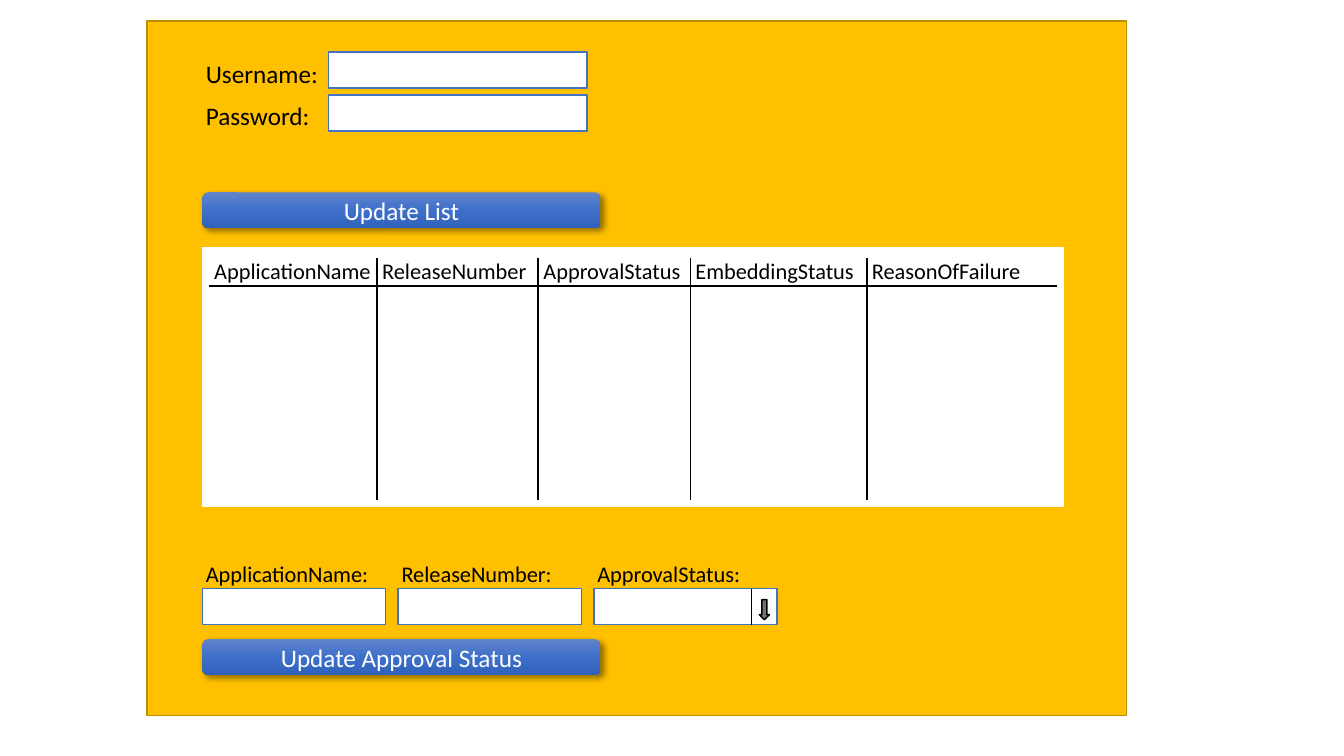
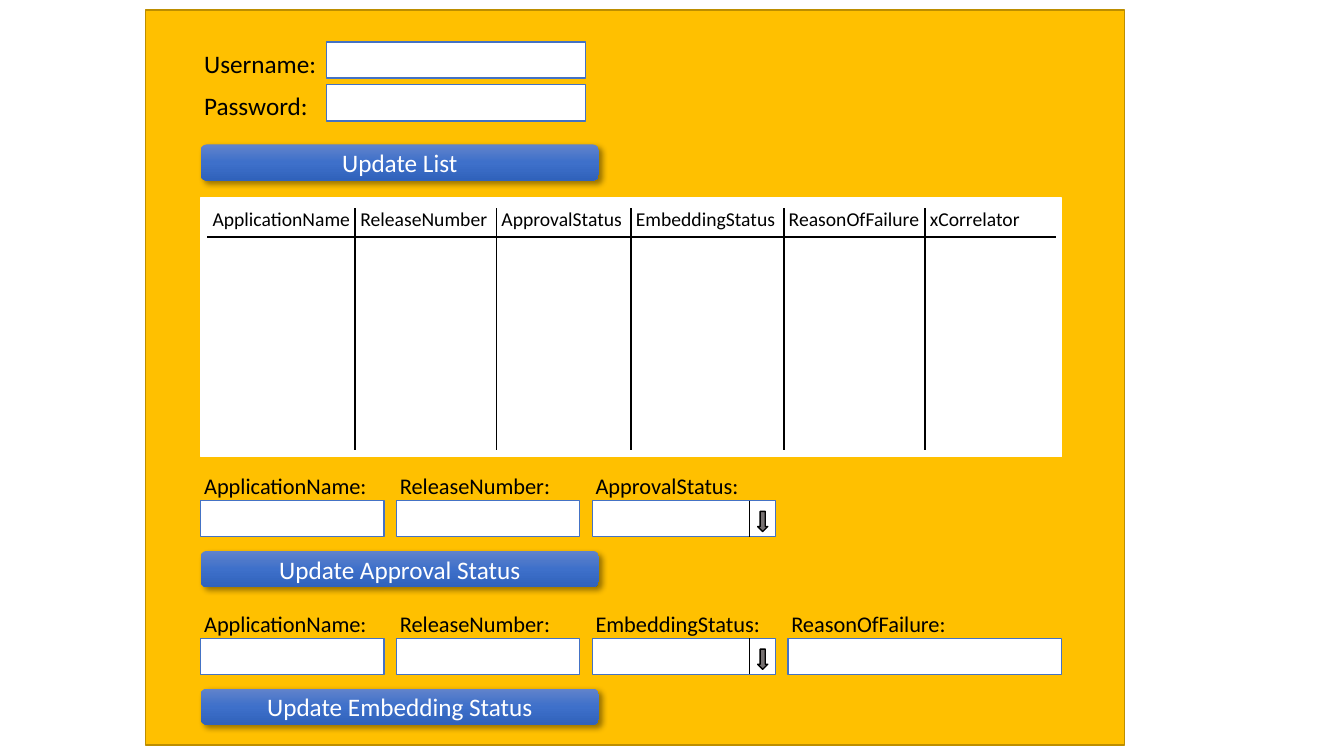
from pptx import Presentation
from pptx.dml.color import RGBColor
from pptx.enum.shapes import MSO_CONNECTOR as Link, MSO_SHAPE as Geo
from pptx.enum.text import MSO_ANCHOR as Anchor, PP_ALIGN as Align
from pptx.oxml import parse_xml
from pptx.oxml.ns import nsdecls, qn
from pptx.util import Inches, Pt
from lxml.etree import SubElement

AMBER = RGBColor(0xFF, 0xC0, 0x00)
AMBER_EDGE = RGBColor(0xBD, 0x8E, 0x00)
BLUE = RGBColor(0x44, 0x72, 0xC4)
GREY = RGBColor(0x76, 0x71, 0x71)
WHITE = RGBColor(0xFF, 0xFF, 0xFF)
BLACK = RGBColor(0x00, 0x00, 0x00)
BUTTON_STOPS = (
    (0, RGBColor(0x61, 0x83, 0xCB)),
    (50, RGBColor(0x3E, 0x70, 0xCA)),
    (100, RGBColor(0x30, 0x62, 0xBB)),
)
FONT = "Calibri"
SLIDE_W, SLIDE_H = Inches(13.33), Inches(7.5)
GRID_COLS = 160
CELL = SLIDE_W / GRID_COLS

PANEL_W = 116.6
INDENT = 6.6
FIELD_W, FIELD_H, FIELD_PITCH = 21.8, 4.3, 23.3
LOGIN_X, LOGIN_W, LOGIN_PITCH = 15, 30.8, 5.1
BUTTON_W, BUTTON_DROP = 47.4, 6
LIST_W, LIST_H = 102.5, 30.8
HEADER_H, BODY_H = 3.4, 25.4


def cells(*counts):
    """Turn numbers of grid cells into lengths."""
    return [round(count * CELL) for count in counts]


def write(frame, text, size, color=BLACK, align=Align.LEFT):
    """Put one run of text into a frame."""
    paragraph = frame.paragraphs[0]
    paragraph.alignment = align
    run = paragraph.add_run()
    run.text = text
    run.font.name, run.font.size = FONT, Pt(size)
    run.font.bold = False
    run.font.color.rgb = color


def block(slide, box, fill, edge=None, geometry=Geo.RECTANGLE):
    """Draw a flat preset shape with an optional outline."""
    shape = slide.shapes.add_shape(geometry, *cells(*box))
    shape.shadow.inherit = False
    shape.fill.solid()
    shape.fill.fore_color.rgb = fill
    if edge is None:
        shape.line.fill.background()
    else:
        shape.line.color.rgb = edge
        shape.line.width = Pt(1)
    return shape


def label(slide, x, y, text, size):
    """Place a caption with no inner margins."""
    frame = slide.shapes.add_textbox(*cells(x, y, FIELD_W, 3.3)).text_frame
    frame.margin_left = frame.margin_right = 0
    frame.margin_top = frame.margin_bottom = 0
    frame.word_wrap = True
    write(frame, text, size)


def field(slide, x, y, width=FIELD_W):
    """Draw an empty input field."""
    block(slide, (x, y, width, FIELD_H), WHITE, BLUE)


def dropdown(slide, x, y):
    """Draw an input field with a divider and a down arrow."""
    field(slide, x, y)
    block(slide, (x + 19.7, y + 1.3, 1.2, 2.4), GREY, BLACK, Geo.DOWN_ARROW)
    divider = slide.shapes.add_connector(
        Link.STRAIGHT, *cells(x + 18.7, y, x + 18.7, y + FIELD_H))
    divider.line.color.rgb = BLACK
    divider.line.width = Pt(0.5)
    SubElement(divider._element.spPr, qn("a:effectLst"))


def button(slide, x, y, text):
    """Draw a shaded button with a soft shadow."""
    shape = block(slide, (x, y, BUTTON_W, FIELD_H), BLUE,
                  geometry=Geo.ROUNDED_RECTANGLE)
    shape.fill.gradient()
    shape.fill.gradient_angle = 270
    properties = shape._element.spPr
    stops = properties.find(".//" + qn("a:gsLst"))
    stops.clear()
    for share, color in BUTTON_STOPS:
        stop = SubElement(stops, qn("a:gs"), pos=str(share * 1000))
        SubElement(stop, qn("a:srgbClr"), val=str(color))
    properties.find(qn("a:effectLst")).append(parse_xml(
        f'<a:outerShdw {nsdecls("a")} blurRad="{Pt(4)}" dist="{Pt(3)}" '
        'dir="2700000" algn="tl" rotWithShape="0"><a:srgbClr val="000000">'
        '<a:alpha val="40000"/></a:srgbClr></a:outerShdw>'))
    frame = shape.text_frame
    frame.vertical_anchor = Anchor.MIDDLE
    frame.margin_top = frame.margin_bottom = 0
    write(frame, text, 18, WHITE, Align.CENTER)


def rule_cell(cell, ruled):
    """Rule the named sides of a table cell and clear the others."""
    properties = cell._tc.get_or_add_tcPr()
    for side in "LRTB":
        edge = SubElement(properties, qn("a:ln" + side), w=str(Pt(1.5)))
        if side in ruled:
            ink = SubElement(edge, qn("a:solidFill"))
            SubElement(ink, qn("a:srgbClr"), val=str(BLACK))
        else:
            SubElement(edge, qn("a:noFill"))
    cell.fill.solid()
    cell.fill.fore_color.rgb = WHITE


def release_list(slide, x, y, columns, size):
    """Build the release table on its white panel."""
    block(slide, (x, y, LIST_W, LIST_H), WHITE, WHITE)
    widths = [width for _, width in columns]
    table = slide.shapes.add_table(2, len(columns), *cells(
        x + 0.8, y + 1.2, sum(widths), HEADER_H + BODY_H)).table
    table.first_row = table.horz_banding = False
    table.rows[0].height, table.rows[1].height = cells(HEADER_H, BODY_H)
    for index, (heading, width) in enumerate(columns):
        table.columns[index].width = cells(width)[0]
        inner = "L" * (index > 0) + "R" * (index < len(columns) - 1)
        for row, horizontal in enumerate("BT"):
            cell = table.cell(row, index)
            cell.margin_left = Inches(0.05)
            cell.margin_right = cell.margin_top = cell.margin_bottom = 0
            rule_cell(cell, inner + horizontal)
        write(table.cell(0, index).text_frame, heading, size)


def login(slide, x, y):
    """Lay out the user name and password rows."""
    for row, caption in enumerate(("Username:", "Password:")):
        top = y + row * LOGIN_PITCH
        label(slide, x + 0.4, top + 0.7, caption, 18)
        field(slide, x + LOGIN_X, top, LOGIN_W)


def update_form(slide, x, y, status, action, wide_caption=None):
    """Lay out one row of captioned fields above its button."""
    captions = ["ApplicationName:", "ReleaseNumber:", status]
    if wide_caption:
        captions.append(wide_caption)
    for index, caption in enumerate(captions):
        left = x + index * FIELD_PITCH
        label(slide, left + 0.4, y - 3.4, caption, 16)
        if caption == status:
            dropdown(slide, left, y)
        elif caption == wide_caption:
            field(slide, left, y, LIST_W - index * FIELD_PITCH)
        else:
            field(slide, left, y)
    button(slide, x, y + BUTTON_DROP, action)


def screen(deck, panel, tops, columns, size, forms):
    """Add a slide with the panel, login, list and update forms."""
    slide = deck.slides.add_slide(deck.slide_layouts[6])
    panel_x, panel_y, panel_h = panel
    login_y, button_y, list_y = tops
    x = panel_x + INDENT
    block(slide, (panel_x, panel_y, PANEL_W, panel_h), AMBER, AMBER_EDGE)
    login(slide, x, login_y)
    button(slide, x, button_y, "Update List")
    release_list(slide, x, list_y, columns, size)
    for form in forms:
        update_form(slide, x, *form)


def main():
    """Build both screens and save the deck."""
    deck = Presentation()
    deck.slide_width, deck.slide_height = SLIDE_W, SLIDE_H
    headings = ("ApplicationName", "ReleaseNumber", "ApprovalStatus",
                "EmbeddingStatus", "ReasonOfFailure", "xCorrelator")
    approval = ("ApprovalStatus:", "Update Approval Status")
    embedding = ("EmbeddingStatus:", "Update Embedding Status",
                 "ReasonOfFailure:")
    screen(deck, (17.5, 2.5, 82.7), (6.2, 22.9, 29.5),
           list(zip(headings, (20, 19.2, 18.1, 21, 22.7))), 16,
           [(70.1, *approval)])
    screen(deck, (17.3, 1.2, 87.5), (5, 17.2, 23.6),
           list(zip(headings, (17.6, 16.8, 16, 18.2, 16.8, 15.6))), 14,
           [(59.6, *approval), (76, *embedding)])
    deck.save("out.pptx")


if __name__ == "__main__":
    main()
